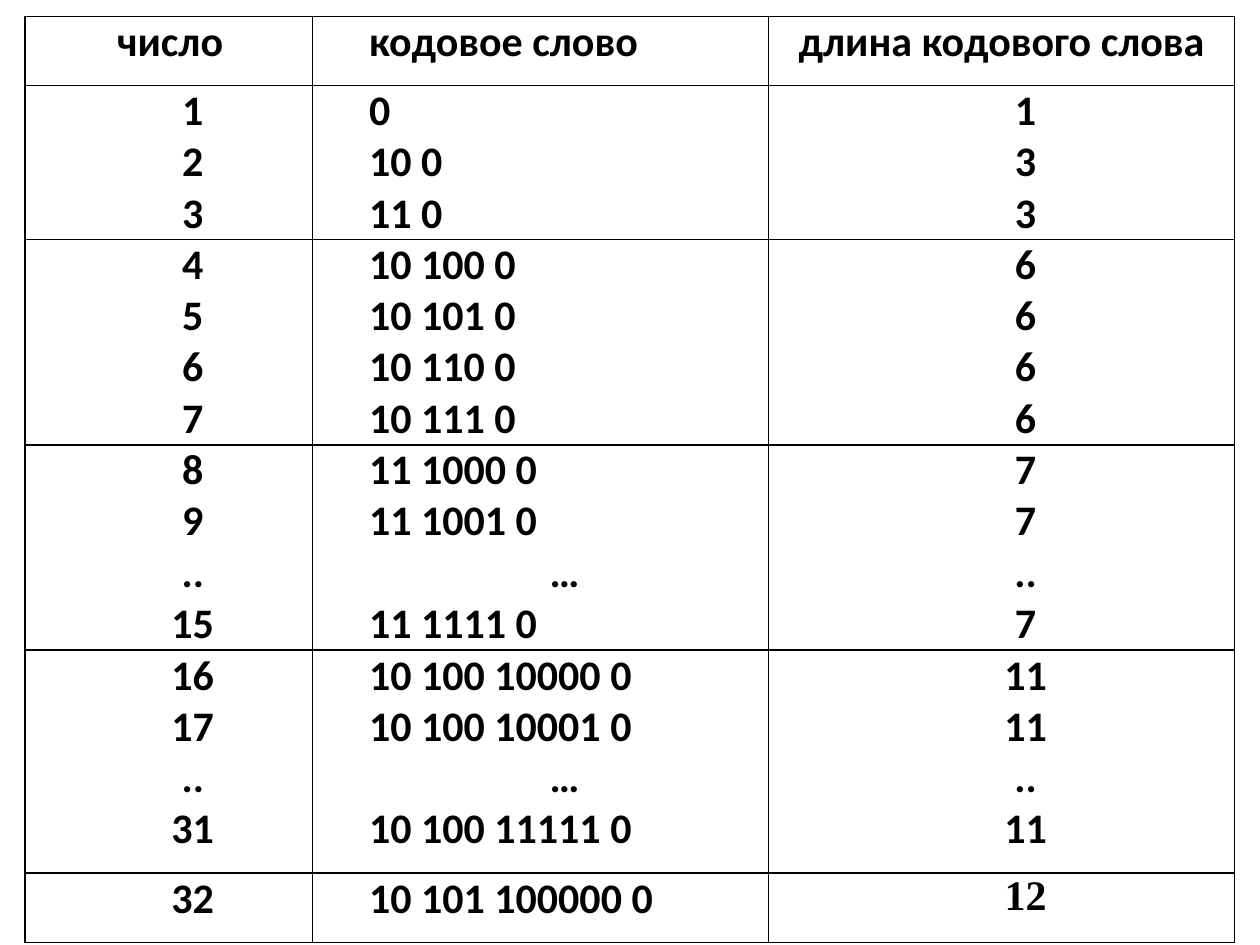
import pptx
import pptx.dml.color
import pptx.enum.text
import pptx.oxml
import pptx.oxml.ns
import pptx.util

Inches, Pt = pptx.util.Inches, pptx.util.Pt
ALIGN = pptx.enum.text.PP_ALIGN
BLACK = pptx.dml.color.RGBColor(0, 0, 0)
FONT = {"name": "Calibri", "size": Pt(24), "bold": True}
MARGINS = {"margin_left": Inches(0.07), "margin_right": Inches(0.07),
           "margin_top": 0, "margin_bottom": 0}
INDENT = 0.38

COLS = [2.28, 3.62, 3.7]
HEIGHTS = [0.55, 1.22, 1.63, 1.63, 1.77, 0.55]
HEADS = ["число", "кодовое слово", "длина кодового слова"]
HEAD_INDENTS = [0.02, INDENT, 0]
GROUPS = [
    [("1", "0", "1"), ("2", "10 0", "3"), ("3", "11 0", "3")],
    [("4", "10 100 0", "6"), ("5", "10 101 0", "6"),
     ("6", "10 110 0", "6"), ("7", "10 111 0", "6")],
    [("8", "11 1000 0", "7"), ("9", "11 1001 0", "7"),
     ("..", "…", ".."), ("15", "11 1111 0", "7")],
    [("16", "10 100 10000 0", "11"), ("17", "10 100 10001 0", "11"),
     ("..", "…", ".."), ("31", "10 100 11111 0", "11")],
    [("32", "10 101 100000 0", "12")],
]


def assign(item, values):
    for name, value in values.items():
        setattr(item, name, value)


def border(cell):
    props = cell._tc.get_or_add_tcPr()
    for spot, side in enumerate("LRTB"):
        line = pptx.oxml.parse_xml(
            f'<a:ln{side} {pptx.oxml.ns.nsdecls("a")} w="{Pt(1)}"><a:solidFill>'
            f'<a:srgbClr val="{BLACK}"/></a:solidFill></a:ln{side}>')
        props.insert(spot, line)


def fill_cell(cell, lines, col, indent):
    """Write one paragraph per line; code words are justified, the rest centred."""
    assign(cell, MARGINS)
    cell.fill.background()
    border(cell)
    frame = cell.text_frame
    frame.text = "\n".join(lines)
    for para in frame.paragraphs:
        code = col == 1 and para.text != "…"
        para.alignment = ALIGN.JUSTIFY if code else ALIGN.CENTER
        para._p.get_or_add_pPr().set("indent", str(Inches(indent)))
        font = para.runs[0].font
        assign(font, FONT)
        font.color.rgb = BLACK


def code_table(slide, left, top, width, height):
    table = slide.shapes.add_table(
        len(HEIGHTS), len(COLS), Inches(left), Inches(top),
        Inches(width), Inches(height)).table
    assign(table, {"first_row": False, "horz_banding": False})
    for col, size in zip(table.columns, COLS):
        col.width = Inches(size)
    for row, size in zip(table.rows, HEIGHTS):
        row.height = Inches(size)
    for col, head in enumerate(HEADS):
        fill_cell(table.cell(0, col), [head], col, HEAD_INDENTS[col])
    for row, group in enumerate(GROUPS, 1):
        for col, lines in enumerate(zip(*group)):
            fill_cell(table.cell(row, col), lines, col, INDENT)
    last = table.cell(len(GROUPS), len(COLS) - 1)
    last.text_frame.paragraphs[0].runs[0].font.name = "Times New Roman"


def main():
    deck = pptx.Presentation()
    assign(deck, {"slide_width": Inches(10), "slide_height": Inches(7.5)})
    slide = deck.slides.add_slide(deck.slide_layouts[6])
    code_table(slide, 0.2, 0.13, sum(COLS), sum(HEIGHTS))
    deck.save("out.pptx")


if __name__ == "__main__":
    main()
